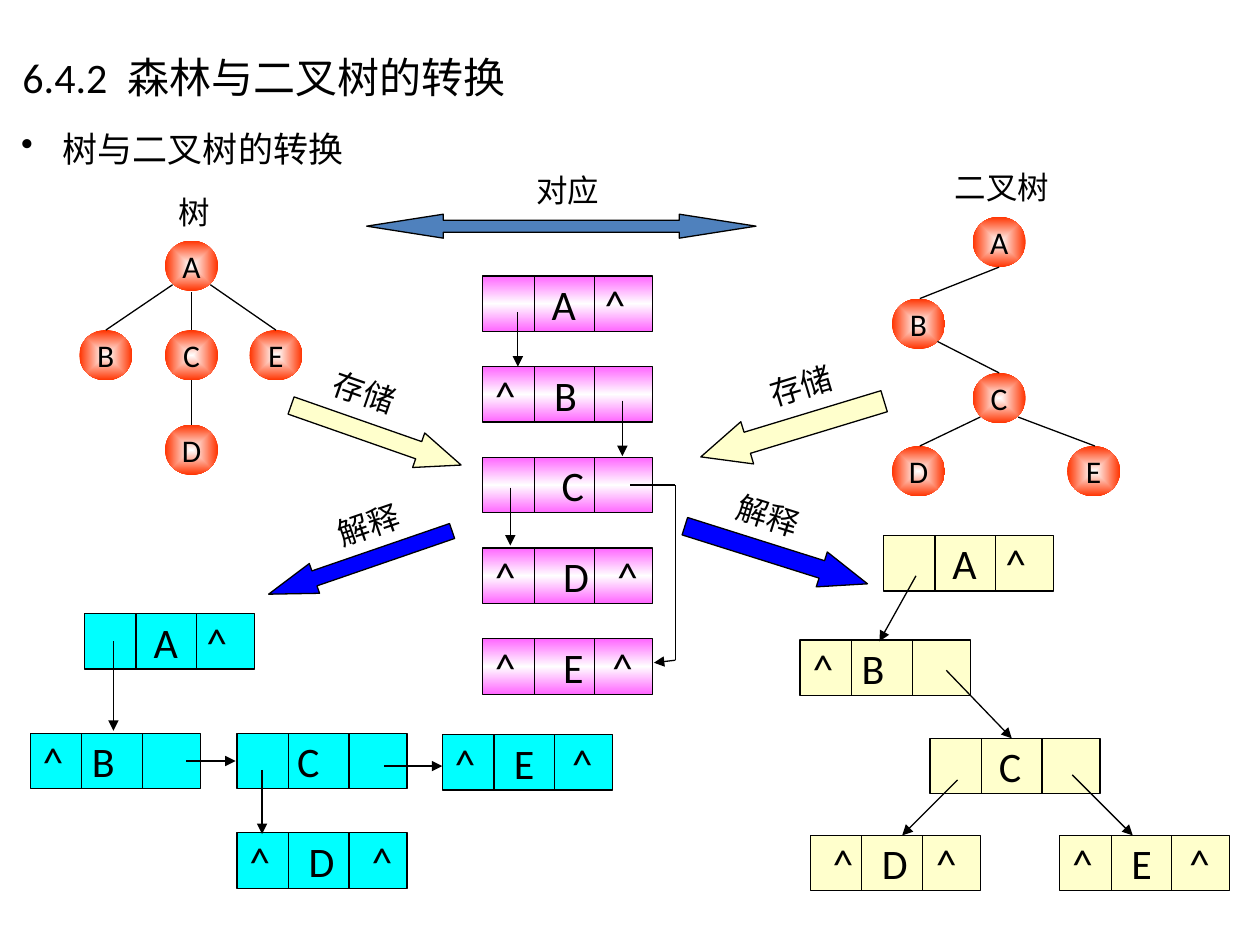
from dataclasses import dataclass
from typing import Any

from lxml.etree import SubElement
from pptx import Presentation
from pptx.dml.color import RGBColor
from pptx.enum.shapes import MSO_CONNECTOR, MSO_SHAPE
from pptx.enum.text import MSO_ANCHOR, MSO_AUTO_SIZE, PP_ALIGN
from pptx.oxml import parse_xml
from pptx.oxml.ns import nsdecls, qn
from pptx.util import Inches, Pt

BLACK = RGBColor(0x00, 0x00, 0x00)
WHITE = RGBColor(0xFF, 0xFF, 0xFF)
PINK = RGBColor(0xFF, 0x66, 0xFF)
CREAM = RGBColor(0xFF, 0xFF, 0xCC)
CYAN = RGBColor(0x00, 0xFF, 0xFF)
RED = RGBColor(0xFF, 0x33, 0x00)
STEEL = RGBColor(0x4F, 0x81, 0xBD)
BLUE = RGBColor(0x00, 0x00, 0xFF)

RECORD_WIDTH, RECORD_HEIGHT = 1.35, 0.44
DIVIDERS = (0.41, 0.89)
CIRCLE_WIDTH, CIRCLE_HEIGHT = 0.42, 0.4
PINK_TOP, PINK_STEP = 2.19, 0.72

MIDDLE = {"vertical_anchor": MSO_ANCHOR.MIDDLE}
GROWING = {"auto_size": MSO_AUTO_SIZE.SHAPE_TO_FIT_TEXT}


@dataclass
class Record:
    """A linked-list node; each field is a text and its offset from the text inset."""
    left: float
    top: float
    fields: tuple[tuple[str, float], ...]


@dataclass
class Line:
    x1: float
    y1: float
    x2: float
    y2: float
    arrow: bool = False
    width: float = 0.75


@dataclass
class Circle:
    left: float
    top: float
    name: str


@dataclass
class Label:
    left: float
    top: float
    width: float
    text: str
    rotation: float = 0


@dataclass
class BlockArrow:
    kind: MSO_SHAPE
    left: float
    top: float
    width: float
    height: float
    head: float
    rotation: float
    color: RGBColor
    label: Label


def apply_formats(target: Any, formats: dict[str, Any]) -> None:
    for name, value in formats.items():
        setattr(target, name, value)


def write(box: Any, text: str, size: float, formats: dict[str, Any],
          align: PP_ALIGN = PP_ALIGN.LEFT, tabs: tuple[float, ...] = ()) -> Any:
    """Fill a box with one paragraph, with left tab stops in inches."""
    apply_formats(box.text_frame, formats)
    para = box.text_frame.paragraphs[0]
    para.alignment = align
    if tabs:
        stops = SubElement(para._p.get_or_add_pPr(), qn("a:tabLst"))
        for tab in tabs:
            SubElement(stops, qn("a:tab"), pos=str(Inches(tab)), algn="l")
    span = para.add_run()
    span.text = text
    apply_formats(span.font, {"name": "Calibri", "size": Pt(size)})
    span.font.color.rgb = BLACK
    return para


def add_outlined(shapes: Any, kind: MSO_SHAPE, left: float, top: float,
                 width: float, height: float) -> Any:
    shape = shapes.add_shape(kind, Inches(left), Inches(top), Inches(width), Inches(height))
    shape.shadow.inherit = False
    shape.line.color.rgb = BLACK
    shape.line.width = Pt(0.75)
    return shape


def fill_gradient(shape: Any, colors: tuple[RGBColor, ...], direction: str) -> None:
    """Spread the colours evenly; direction is the a:lin or a:path element."""
    last = len(colors) - 1
    stops = "".join(f'<a:gs pos="{100000 * i // last}"><a:srgbClr val="{color}"/></a:gs>'
                    for i, color in enumerate(colors))
    gradient = parse_xml(f'<a:gradFill {nsdecls("a")} rotWithShape="1">'
                         f"<a:gsLst>{stops}</a:gsLst>{direction}</a:gradFill>")
    shape._element.spPr.find(qn("a:prstGeom")).addnext(gradient)


def add_line(shapes: Any, line: Line) -> None:
    ends = (Inches(value) for value in (line.x1, line.y1, line.x2, line.y2))
    connector = shapes.add_connector(MSO_CONNECTOR.STRAIGHT, *ends)
    connector.line.color.rgb = BLACK
    connector.line.width = Pt(line.width)
    properties = connector._element.spPr
    if line.arrow:
        SubElement(properties.find(qn("a:ln")), qn("a:tailEnd"), type="triangle")
    SubElement(properties, qn("a:effectLst"))


def add_label(shapes: Any, label: Label) -> None:
    box = shapes.add_textbox(Inches(label.left), Inches(label.top), Inches(label.width), Inches(0.5))
    box.rotation = label.rotation
    write(box, label.text, 18, MIDDLE | GROWING | {"word_wrap": False}, PP_ALIGN.CENTER)


def add_record(shapes: Any, record: Record, color: RGBColor) -> None:
    box = add_outlined(shapes, MSO_SHAPE.RECTANGLE, record.left, record.top,
                       RECORD_WIDTH, RECORD_HEIGHT)
    if color == PINK:
        fill_gradient(box, (PINK, WHITE, PINK), '<a:lin ang="5400000" scaled="1"/>')
    else:
        box.fill.solid()
        box.fill.fore_color.rgb = color
    text = "".join(("\t" if offset else "") + field for field, offset in record.fields)
    tabs = tuple(offset for _, offset in record.fields if offset)
    write(box, text, 24, MIDDLE | {"word_wrap": True, "margin_right": 0}, tabs=tabs)
    for divider in DIVIDERS:
        x = record.left + divider
        add_line(shapes, Line(x, record.top, x, record.top + RECORD_HEIGHT))


def add_list(page: Any, color: RGBColor, records: list[Record], lines: list[Line]) -> None:
    shapes = page.shapes.add_group_shape().shapes
    for record in records:
        add_record(shapes, record, color)
    for line in lines:
        add_line(shapes, line)


def add_tree(page: Any, circles: list[Circle], label: Label, lines: list[Line]) -> None:
    shapes = page.shapes.add_group_shape().shapes
    for circle in circles:
        shape = add_outlined(shapes, MSO_SHAPE.OVAL, circle.left, circle.top,
                             CIRCLE_WIDTH, CIRCLE_HEIGHT)
        shape.line.fill.background()
        fill_gradient(shape, (WHITE, RED), '<a:path path="shape"><a:fillToRect '
                      'l="50000" t="50000" r="50000" b="50000"/></a:path>')
        write(shape, circle.name, 18, MIDDLE | {"word_wrap": False}, PP_ALIGN.CENTER)
    add_label(shapes, label)
    for line in lines:
        add_line(shapes, line)


def add_block_arrow(page: Any, arrow: BlockArrow) -> None:
    shapes = page.shapes.add_group_shape().shapes
    shape = add_outlined(shapes, arrow.kind, arrow.left, arrow.top, arrow.width, arrow.height)
    shape.adjustments[0], shape.adjustments[1] = 0.5, arrow.head
    shape.rotation = arrow.rotation
    shape.fill.solid()
    shape.fill.fore_color.rgb = arrow.color
    add_label(shapes, arrow.label)


PINK_FIELDS = [
    (("A", 0.45), ("^", 0.87)),
    (("^", 0), ("B", 0.47)),
    (("C", 0.53),),
    (("^", 0), ("D", 0.54), ("^", 0.97)),
    (("^", 0), ("E", 0.54), ("^", 0.93)),
]
PINK_RECORDS = [Record(3.83, PINK_TOP + i * PINK_STEP, fields)
                for i, fields in enumerate(PINK_FIELDS)]
PINK_LINES = [
    Line(4.11, 2.48, 4.11, 2.91, True), Line(4.94, 3.18, 4.94, 3.62, True),
    Line(4.05, 3.87, 4.05, 4.33, True), Line(5, 3.85, 5.36, 3.85),
    Line(5.36, 3.85, 5.36, 5.24), Line(5.36, 5.24, 5.19, 5.26, True),
]
CREAM_RECORDS = [
    Record(7.01, 4.25, (("A", 0.45), ("^", 0.87))),
    Record(6.35, 5.08, (("^", 0), ("B", 0.39))),
    Record(7.38, 5.86, (("C", 0.45),)),
    Record(6.43, 6.63, (("^", 0.08), ("D", 0.47), ("^", 0.9))),
    Record(8.41, 6.63, (("^", 0), ("E", 0.47), ("^", 0.93))),
]
CREAM_LINES = [
    Line(7.27, 4.57, 6.98, 5.09, True), Line(7.51, 5.32, 8.03, 5.86, True),
    Line(7.6, 6.19, 7.16, 6.63, True), Line(8.51, 6.15, 8.99, 6.63, True),
]
CYAN_RECORDS = [
    Record(0.67, 4.87, (("A", 0.45), ("^", 0.87))),
    Record(0.24, 5.82, (("^", 0), ("B", 0.39))),
    Record(1.88, 5.82, (("C", 0.38),)),
    Record(1.88, 6.61, (("^", 0), ("D", 0.47), ("^", 0.97))),
    Record(3.51, 5.83, (("^", 0), ("E", 0.47), ("^", 0.93))),
]
CYAN_LINES = [
    Line(1.48, 6.04, 1.87, 6.04, True), Line(3.05, 6.08, 3.51, 6.08, True),
    Line(2.08, 6.11, 2.08, 6.62, True), Line(0.9, 5.09, 0.9, 5.8, True, 1),
]
BLOCK_ARROWS = [
    BlockArrow(MSO_SHAPE.LEFT_RIGHT_ARROW, 2.91, 1.7, 3.09, 0.19, 3.2, 0, STEEL,
               Label(4.06, 1.26, 0.95, "对应 ")),
    BlockArrow(MSO_SHAPE.RIGHT_ARROW, 2.27, 3.31, 1.43, 0.29, 1.23, 19.3, CREAM,
               Label(2.46, 2.86, 0.87, "存储", 19.3)),
    BlockArrow(MSO_SHAPE.LEFT_ARROW, 5.53, 3.23, 1.52, 0.35, 1.1, 343.1, CREAM,
               Label(5.92, 2.81, 0.87, "存储", 343.1)),
    BlockArrow(MSO_SHAPE.LEFT_ARROW, 2.09, 4.34, 1.54, 0.25, 1.54, 341, BLUE,
               Label(2.49, 3.91, 0.87, "解释", 341)),
    BlockArrow(MSO_SHAPE.RIGHT_ARROW, 5.4, 4.26, 1.52, 0.29, 1.31, 17.5, BLUE,
               Label(5.66, 3.84, 0.88, "解释", 17.5)),
]
TREE_CIRCLES = [Circle(1.31, 1.91, "A"), Circle(1.31, 2.62, "C"), Circle(0.63, 2.62, "B"),
                Circle(1.98, 2.62, "E"), Circle(1.31, 3.37, "D")]
TREE_LINES = [Line(1.52, 2.32, 1.52, 2.62), Line(1.37, 2.26, 0.84, 2.62),
              Line(1.67, 2.26, 2.19, 2.62), Line(1.52, 3.02, 1.52, 3.37)]
BINARY_CIRCLES = [Circle(7.72, 1.72, "A"), Circle(7.08, 2.37, "B"), Circle(7.72, 2.96, "C"),
                  Circle(7.08, 3.54, "D"), Circle(8.47, 3.54, "E")]
BINARY_LINES = [Line(7.93, 2.12, 7.3, 2.37), Line(7.44, 2.71, 7.93, 2.96),
                Line(7.78, 3.31, 7.3, 3.54), Line(8.08, 3.31, 8.69, 3.54)]


def add_headings(page: Any) -> None:
    title = page.shapes.add_textbox(Inches(0.08), Inches(0.36), Inches(4.42), Inches(0.5))
    write(title, "6.4.2\t森林与二叉树的转换", 24, GROWING | {"word_wrap": True}, tabs=(0.83,))
    topic = page.shapes.add_textbox(Inches(0.07), Inches(0.96), Inches(2.96), Inches(0.44))
    para = write(topic, "树与二叉树的转换", 20, GROWING | {"word_wrap": False})
    properties = para._p.get_or_add_pPr()
    properties.set("marL", str(Inches(0.33)))
    properties.set("indent", str(-Inches(0.33)))
    SubElement(properties, qn("a:buChar"), char="•")


def main() -> None:
    deck = Presentation()
    deck.slide_width, deck.slide_height = Inches(10), Inches(7.5)
    page = deck.slides.add_slide(deck.slide_layouts[6])
    add_headings(page)
    add_list(page, PINK, PINK_RECORDS, PINK_LINES)
    add_list(page, CREAM, CREAM_RECORDS, CREAM_LINES)
    for arrow in BLOCK_ARROWS:
        add_block_arrow(page, arrow)
    add_tree(page, TREE_CIRCLES, Label(1.26, 1.43, 0.62, "树 "), TREE_LINES)
    add_tree(page, BINARY_CIRCLES, Label(7.34, 1.23, 1.28, "二叉树 "), BINARY_LINES)
    add_list(page, CYAN, CYAN_RECORDS, CYAN_LINES)
    deck.save("out.pptx")


if __name__ == "__main__":
    main()
